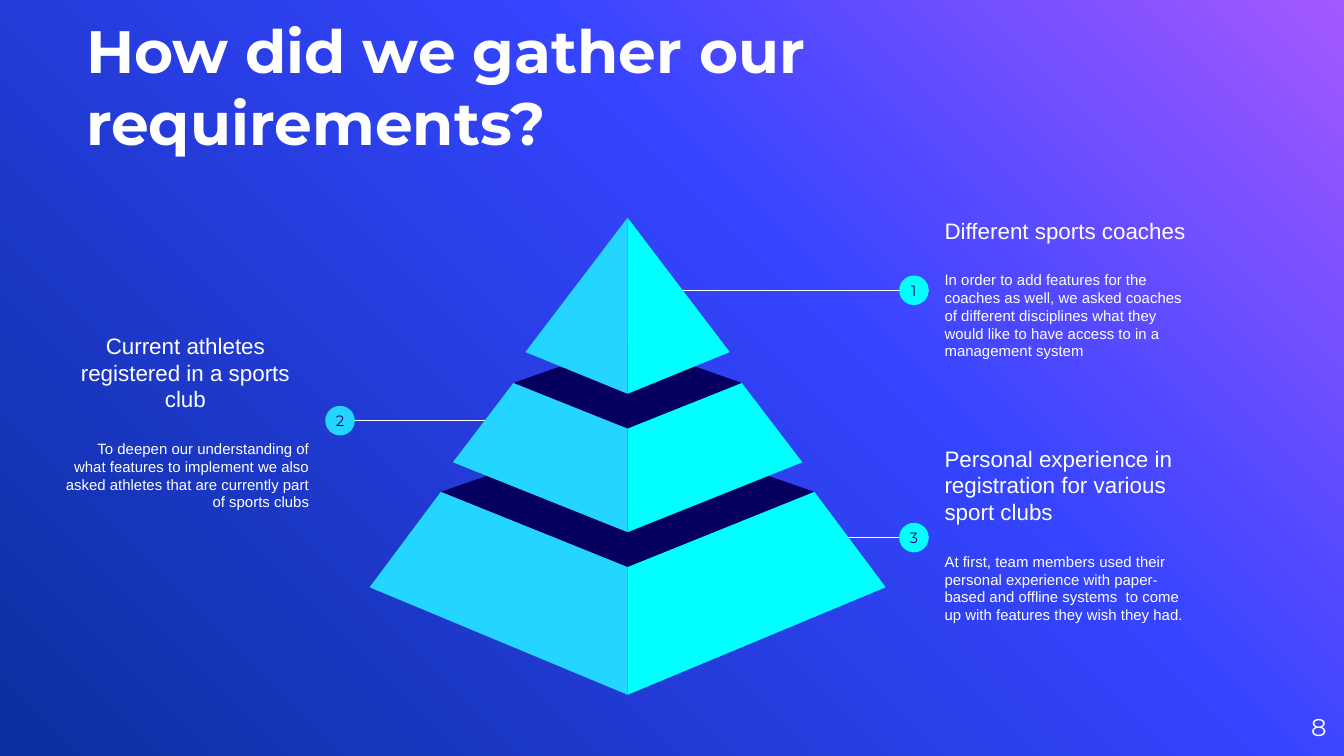
from copy import deepcopy

from lxml import etree
from pptx import Presentation
from pptx.dml.color import RGBColor
from pptx.enum.shapes import MSO_CONNECTOR, MSO_SHAPE
from pptx.enum.text import MSO_ANCHOR, MSO_AUTO_SIZE, PP_ALIGN
from pptx.oxml.ns import qn
from pptx.util import Inches, Pt

STRAIGHT = MSO_CONNECTOR.STRAIGHT
OVAL = MSO_SHAPE.OVAL
MIDDLE, BOTTOM = MSO_ANCHOR.MIDDLE, MSO_ANCHOR.BOTTOM
LEFT, CENTER, RIGHT = PP_ALIGN.LEFT, PP_ALIGN.CENTER, PP_ALIGN.RIGHT
NO_AUTOFIT = MSO_AUTO_SIZE.NONE

WHITE, NAVY, SKY, CYAN = "FFFFFF", "050060", "24D6FF", "00FFFF"
BACKGROUND_STOPS = [(0, "A458FF"), (0.39, "3544FF"), (1, "0A2F9E")]


def color(hex_string):
    return RGBColor.from_string(hex_string)


def write(frame, paragraphs, anchor, inset=0):
    """Fill a text frame with (text, size, font, color, alignment) paragraphs."""
    frame.word_wrap = True
    frame.auto_size = NO_AUTOFIT
    frame.vertical_anchor = anchor
    frame.margin_left = frame.margin_right = Inches(inset)
    frame.margin_top = frame.margin_bottom = Inches(inset)
    for index, (text, size, font, hex_string, alignment) in enumerate(paragraphs):
        para = frame.add_paragraph() if index else frame.paragraphs[0]
        para.alignment = alignment
        span = para.add_run()
        span.text = text
        span.font.size = Pt(size)
        span.font.name = font
        span.font.color.rgb = color(hex_string)


# A 16:9 page
deck = Presentation()
deck.slide_width = Inches(10)
deck.slide_height = Inches(10) * 9 // 16
page = deck.slides.add_slide(deck.slide_layouts[5])

# Background: diagonal gradient from the top right corner
background = page.background.fill
background.gradient()
background.gradient_angle = 225
stop_list = page.element.find(".//" + qn("a:gsLst"))
stop_list.append(deepcopy(stop_list[0]))
for stop, (position, hex_string) in zip(background.gradient_stops, BACKGROUND_STOPS):
    stop.position = position
    stop.color.rgb = color(hex_string)

# Title and page number
title = page.shapes.title
title.left, title.top = Inches(0.64), Inches(0.23)
title.width, title.height = Inches(6.58), Inches(0.94)
write(title.text_frame,
      [("How did we gather our requirements?", 32, "Montserrat", WHITE, LEFT)], BOTTOM)
title.text_frame.paragraphs[0].runs[0].font.bold = True

number_box = page.shapes.add_textbox(Inches(9.27), Inches(5.19), Inches(0.6), Inches(0.43))
write(number_box.text_frame, [("8", 13, "Montserrat", WHITE, RIGHT)], MIDDLE)

# Callouts: number, heading, heading alignment, body, body alignment,
# text left, text top, line start, line end, line height, circle center, circle color
callouts = [
    ("3", "Personal experience in registration for various sport clubs", LEFT,
     "At first, team members used their personal experience with paper-based and "
     "offline systems  to come up with features they wish they had.", LEFT,
     6.93, 3.22, 6.27, 6.91, 4.0, 6.8, CYAN),
    ("2", "Current athletes registered in a sports club", CENTER,
     "To deepen our understanding of what features to implement we also asked "
     "athletes that are currently part of sports clubs", RIGHT,
     0.36, 2.38, 3.64, 2.5, 3.13, 2.53, SKY),
    ("1", "Different sports coaches", LEFT,
     "In order to add features for the coaches as well, we asked coaches of different "
     "disciplines what they would like to have access to in a management system", LEFT,
     6.93, 1.39, 5.03, 6.91, 2.16, 6.8, CYAN),
]
DIAMETER = 0.22
for (number, heading, heading_align, body, body_align, left, top,
     start, end, height, center, circle_color) in callouts:
    line = page.shapes.add_connector(
        STRAIGHT, Inches(start), Inches(height), Inches(end), Inches(height))
    line.line.color.rgb = color(WHITE)
    line.line.width = Pt(0.75)
    etree.SubElement(line.element.spPr, qn("a:effectLst"))

    box = page.shapes.add_textbox(Inches(left), Inches(top), Inches(2.04), Inches(1.51))
    write(box.text_frame, [(heading, 12, "Arial", WHITE, heading_align),
                           (body, 8, "Arial", WHITE, body_align)], MIDDLE, 0.1)
    box.text_frame.paragraphs[1].space_before = Pt(14.4)

    circle = page.shapes.add_shape(
        OVAL, Inches(center - DIAMETER / 2), Inches(height - DIAMETER / 2),
        Inches(DIAMETER), Inches(DIAMETER))
    circle.shadow.inherit = False
    circle.fill.solid()
    circle.fill.fore_color.rgb = color(circle_color)
    circle.line.fill.background()
    write(circle.text_frame, [(number, 8, "Montserrat", NAVY, CENTER)], MIDDLE)
    circle.text_frame.word_wrap = False

# Pyramid tiers, bottom to top, mirrored about the axis: half width, outer y and
# front y of the upper edge, the same for the lower edge, then the y of the lid's back
AXIS = 4.67
tiers = [
    (1.39, 3.66, 4.22, 1.92, 4.37, 5.17, 3.18),
    (0.85, 2.85, 3.19, 1.3, 3.44, 3.96, 2.55),
    (0, 1.62, 1.62, 0.76, 2.62, 2.93, None),
]
for upper, upper_y, upper_front, lower, lower_y, lower_front, back in tiers:
    faces = []
    if back is not None:
        faces.append((NAVY, [(AXIS - upper, upper_y), (AXIS, upper_front),
                             (AXIS + upper, upper_y), (AXIS, back)]))
    for side, hex_string in ((-1, SKY), (1, CYAN)):
        corners = [(AXIS + side * upper, upper_y), (AXIS + side * lower, lower_y),
                   (AXIS, lower_front)]
        if upper:
            corners.append((AXIS, upper_front))
        faces.append((hex_string, corners))
    for hex_string, corners in faces:
        points = [(Inches(x), Inches(y)) for x, y in corners]
        builder = page.shapes.build_freeform(*points[0])
        builder.add_line_segments(points[1:], close=True)
        face = builder.convert_to_shape()
        face.shadow.inherit = False
        face.fill.solid()
        face.fill.fore_color.rgb = color(hex_string)
        face.line.fill.background()

deck.save("out.pptx")
